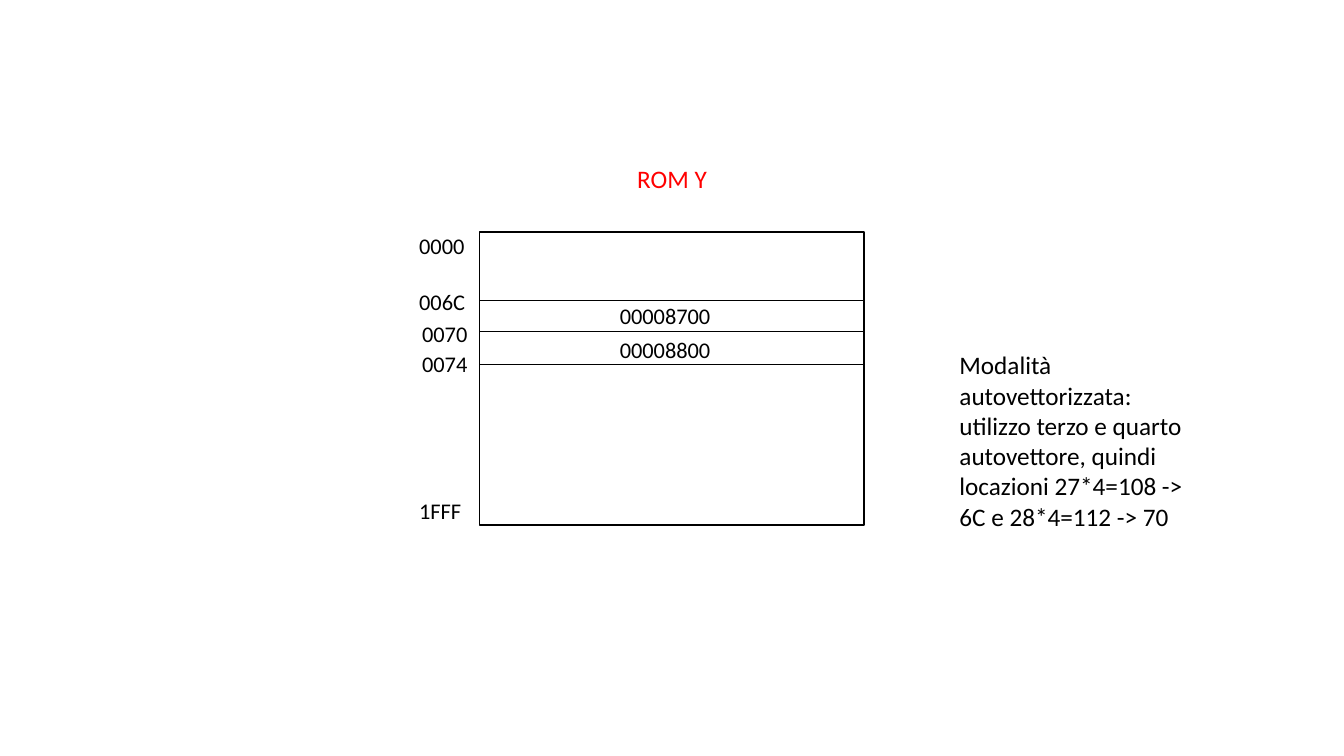
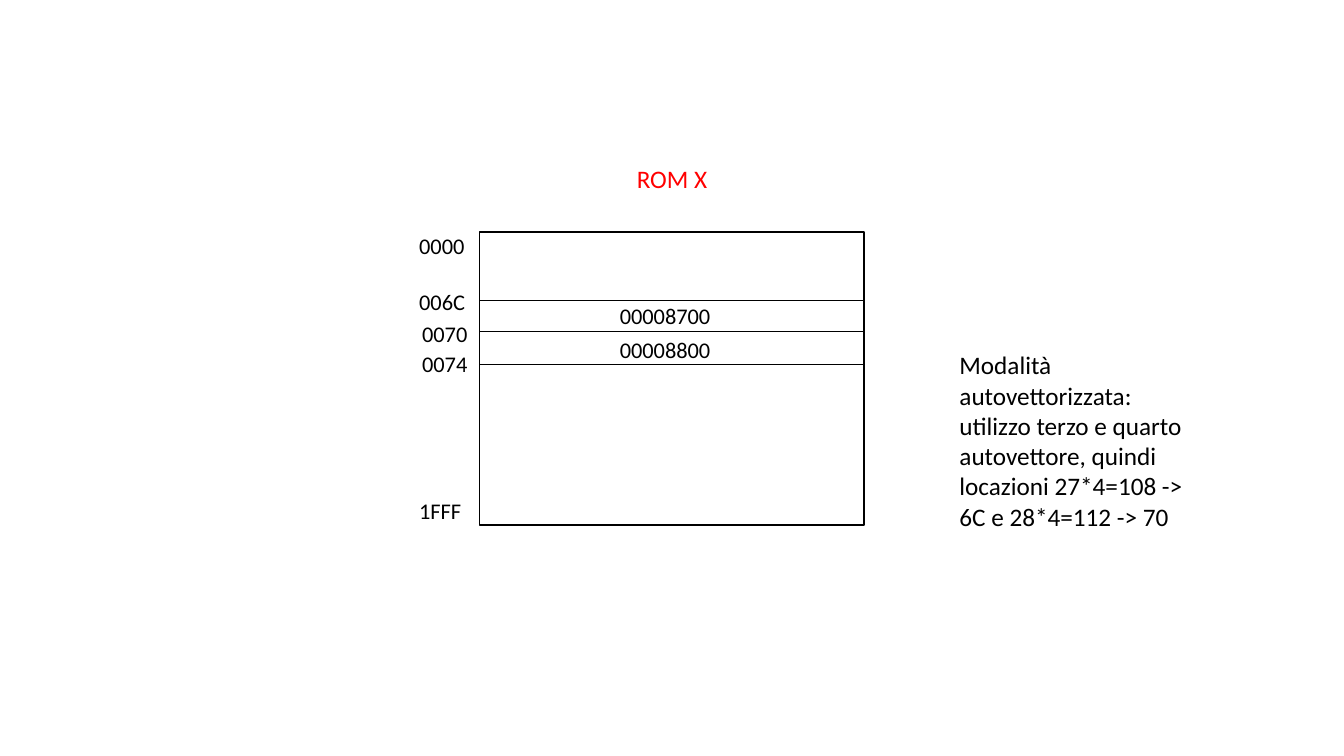
from dataclasses import dataclass
from pptx import Presentation
from pptx.dml.color import RGBColor
from pptx.enum import shapes, text
from pptx.oxml.ns import qn
from pptx.util import Inches, Pt
from lxml import etree


@dataclass(frozen=True)
class Theme:
    font: str = "Calibri"
    ink: str = "000000"
    red: str = "FF0000"
    paper: str = "FFFFFF"
    large: int = 18
    small: int = 16
    frame: float = 1
    rule: float = 0.5


T = Theme()
deck = Presentation()
deck.slide_width, deck.slide_height = Inches(13.33), Inches(7.5)

# Boxes are left, top, width, height in percent of the slide
MAP = (35.7, 30.67, 28.6, 38.8)
NOTE = (70.65, 45.6, 19.05, 25.6)
LINE = 4.93    # height of one line of small text
LABEL = 5.25   # width of an address label

# Offsets below the top of the map; the second value shifts a label right
RULES = (9.07, 13.2, 17.47)
MARKS = (("0000", -0.67, 0), ("006C", 6.8, 0), ("0070", 11.07, 0.22),
         ("0074", 14.93, 0.22), ("1FFF", 34.4, 0))
VALUES = (("00008700", 8.67), ("00008800", 13.2))
ADVICE = ("Modalità autovettorizzata: utilizzo terzo e quarto autovettore, "
          "quindi locazioni 27*4=108 -> 6C e 28*4=112 -> 70")


def color(code):
    return RGBColor.from_string(code)


def place(box):
    """Turn percent of the slide into lengths."""
    sides = (deck.slide_width, deck.slide_height) * 2
    return [round(side * part / 100) for side, part in zip(sides, box)]


def write(slide, box, words, size=T.small, ink=T.ink, align=None):
    frame = slide.shapes.add_textbox(*place(box)).text_frame
    frame.word_wrap = True
    frame.auto_size = text.MSO_AUTO_SIZE.SHAPE_TO_FIT_TEXT
    para = frame.paragraphs[0]
    para.alignment = align
    run = para.add_run()
    run.text = words
    run.font.name, run.font.size = T.font, Pt(size)
    run.font.color.rgb = color(ink)


def rule(slide, left, top, width):
    line = slide.shapes.add_connector(
        shapes.MSO_CONNECTOR.STRAIGHT, *place((left, top, left + width, top)))
    line.line.color.rgb = color(T.ink)
    line.line.width = Pt(T.rule)
    etree.SubElement(line._element.spPr, qn("a:effectLst"))


def title(slide, box, words):
    left, top, width, _ = box
    wide = 10.5
    write(slide, (left + (width - wide) / 2, top - 9.73, wide, 5.33), words,
          T.large, T.red, text.PP_ALIGN.CENTER)


def memory(slide, box):
    left, top, width, _ = box
    # Outer frame
    frame = slide.shapes.add_shape(shapes.MSO_SHAPE.RECTANGLE, *place(box))
    frame.shadow.inherit = False
    frame.fill.solid()
    frame.fill.fore_color.rgb = color(T.paper)
    frame.line.color.rgb = color(T.ink)
    frame.line.width = Pt(T.frame)
    # Cell borders
    for drop in RULES:
        rule(slide, left, top + drop, width)
    # Addresses on the left
    for words, drop, shift in MARKS:
        write(slide, (left - LABEL + shift, top + drop, LABEL, LINE), words)
    # Vectors in the cells
    for words, drop in VALUES:
        write(slide, (left + 9.68, top + drop, 9.15, LINE), words)


def rom(name):
    slide = deck.slides.add_slide(deck.slide_layouts[6])
    title(slide, MAP, name)
    memory(slide, MAP)
    write(slide, NOTE, ADVICE, T.large)


for name in ("ROM Y", "ROM X"):
    rom(name)
deck.save("out.pptx")
